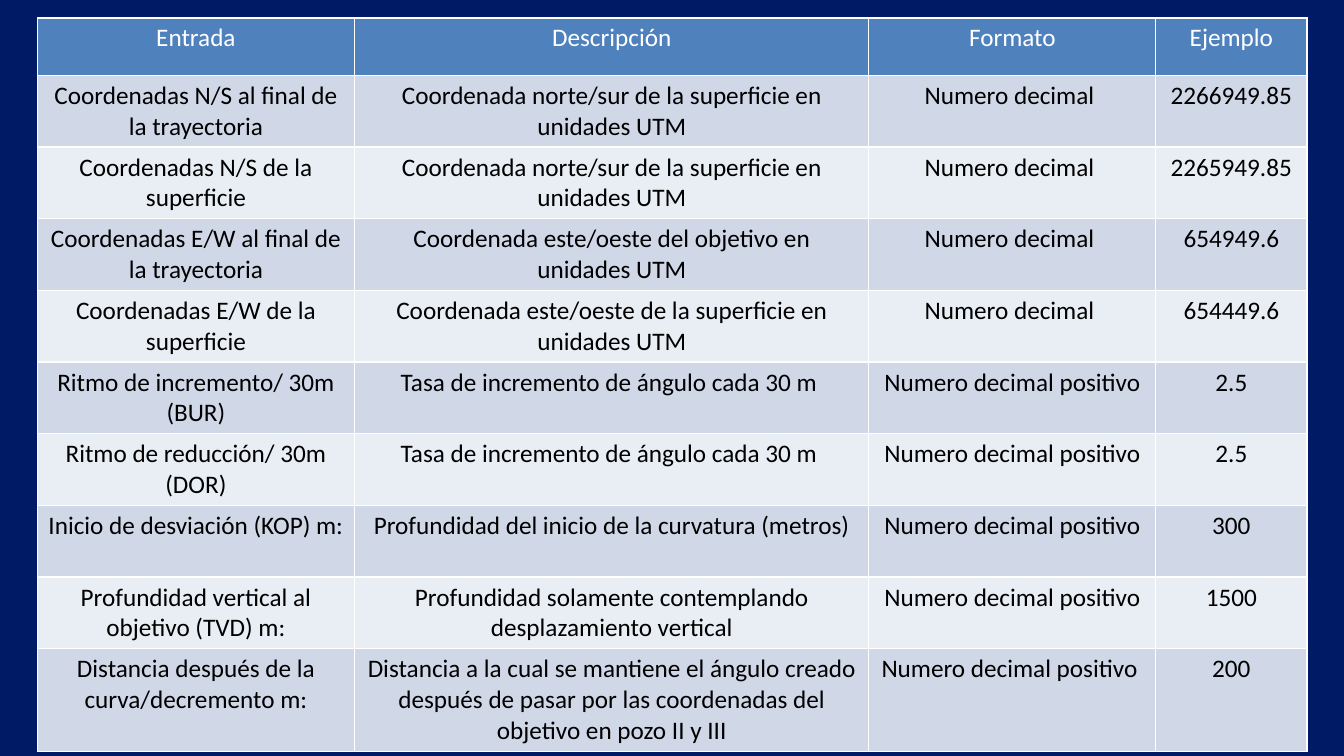
from lxml.etree import SubElement
from pptx import Presentation
from pptx.dml.color import RGBColor as Color
from pptx.enum.text import PP_ALIGN as Align
from pptx.oxml.ns import qn
from pptx.util import Pt

COLORS = {
    "background": "001A65",
    "header": "4F81BD",
    "odd_row": "D0D8E8",
    "even_row": "E9EDF4",
    "border": "FFFFFF",
    "header_text": "FFFFFF",
    "body_text": "000000",
}
FONT, TEXT_SIZE, BORDER_WIDTH = "Calibri", 18, 1

DECIMAL = "Numero decimal "
POSITIVE = "Numero decimal positivo"
NORTH = "Coordenada norte/sur de la superficie en unidades UTM"
RATE = "Tasa de incremento de ángulo cada 30 m "

ENTRIES = [
    ("Entrada", "Descripción", "Formato", "Ejemplo"),
    ("Coordenadas N/S al final de la trayectoria", NORTH, DECIMAL, "2266949.85"),
    ("Coordenadas N/S de la superficie", NORTH, DECIMAL, "2265949.85"),
    ("Coordenadas E/W al final de la trayectoria",
     "Coordenada este/oeste del objetivo en unidades UTM", DECIMAL, "654949.6"),
    ("Coordenadas E/W de la superficie",
     "Coordenada este/oeste de la superficie en unidades UTM", DECIMAL, "654449.6"),
    ("Ritmo de incremento/ 30m (BUR)", RATE, POSITIVE, "2.5"),
    ("Ritmo de reducción/ 30m (DOR)", RATE, POSITIVE, "2.5"),
    ("Inicio de desviación (KOP) m:",
     "Profundidad del inicio de la curvatura (metros)", POSITIVE, "300"),
    ("Profundidad vertical al objetivo (TVD) m:",
     "Profundidad solamente contemplando desplazamiento vertical", POSITIVE, "1500"),
    ("Distancia después de la curva/decremento m:",
     "Distancia a la cual se mantiene el ángulo creado después de pasar por "
     "las coordenadas del objetivo en pozo II y III", POSITIVE + " ", "200"),
]
COLUMN_SHARES = [0.25, 0.405, 0.226, 0.119]
ROW_HEIGHTS = [41] + [51.2] * 8 + [73.2]


def paint(fill, name):
    fill.solid()
    fill.fore_color.rgb = Color.from_string(COLORS[name])


def add_borders(cell):
    """Draw the four cell borders; they must precede the fill in the XML."""
    properties = cell._tc.get_or_add_tcPr()
    for side in ("a:lnL", "a:lnR", "a:lnT", "a:lnB"):
        line = SubElement(properties, qn(side), w=str(Pt(BORDER_WIDTH)))
        solid = SubElement(line, qn("a:solidFill"))
        SubElement(solid, qn("a:srgbClr"), val=COLORS["border"])


def fill_cell(cell, text, fill_name, text_name):
    add_borders(cell)
    paint(cell.fill, fill_name)
    para = cell.text_frame.paragraphs[0]
    para.alignment = Align.CENTER
    span = para.add_run()
    span.text = text
    span.font.name = FONT
    span.font.size = Pt(TEXT_SIZE)
    span.font.bold = False
    span.font.color.rgb = Color.from_string(COLORS[text_name])


def add_entry_table(page, left, top, width):
    frame = page.shapes.add_table(len(ENTRIES), len(COLUMN_SHARES), Pt(left),
                                  Pt(top), Pt(width), Pt(sum(ROW_HEIGHTS)))
    table = frame.table
    for column, share in zip(table.columns, COLUMN_SHARES):
        column.width = Pt(width * share)
    for index, (entry, height) in enumerate(zip(ENTRIES, ROW_HEIGHTS)):
        table.rows[index].height = Pt(height)
        # Header row first, then alternating bands
        if index == 0:
            fill_name, text_name = "header", "header_text"
        else:
            fill_name = "odd_row" if index % 2 else "even_row"
            text_name = "body_text"
        for cell, text in zip(table.rows[index].cells, entry):
            fill_cell(cell, text, fill_name, text_name)


def main():
    deck = Presentation()
    deck.slide_width, deck.slide_height = Pt(960), Pt(540)
    page = deck.slides.add_slide(deck.slide_layouts[6])
    paint(page.background.fill, "background")
    # Table of input parameters
    add_entry_table(page, 26.6, 12.8, 907)
    deck.save("out.pptx")


if __name__ == "__main__":
    main()
